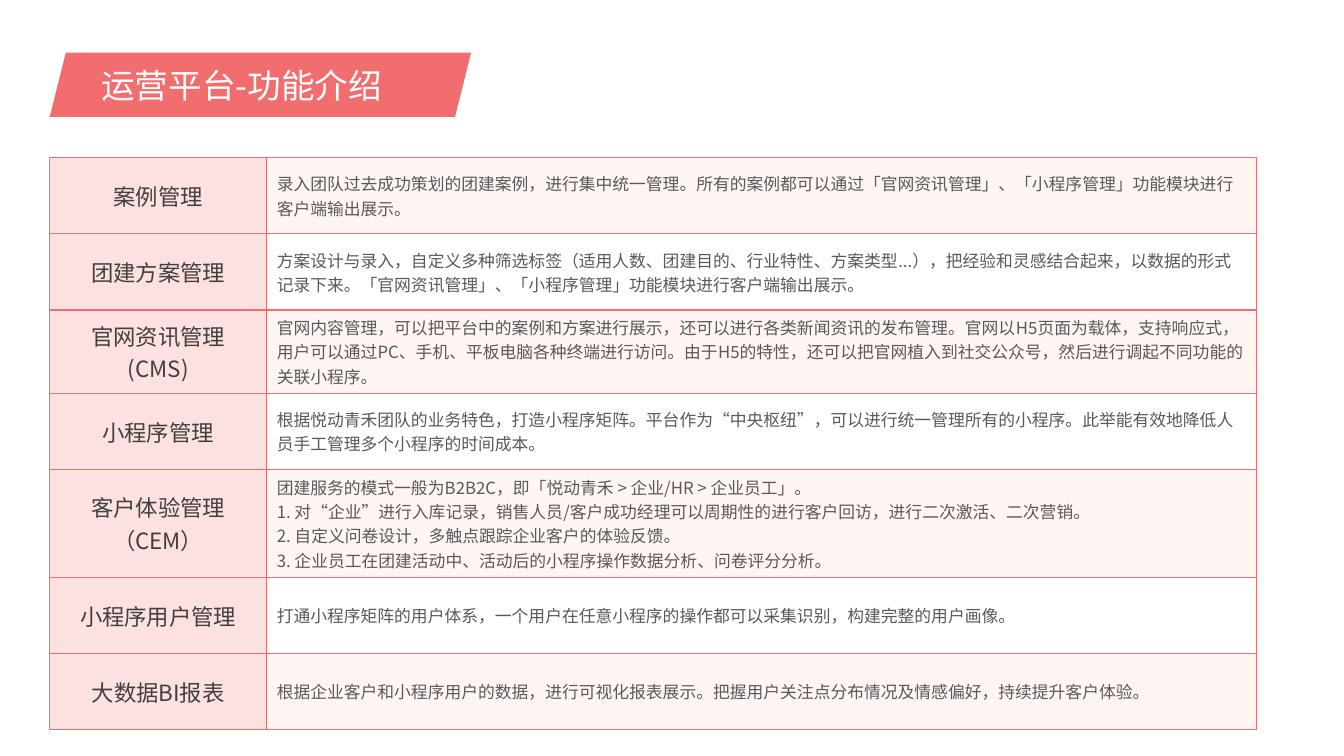
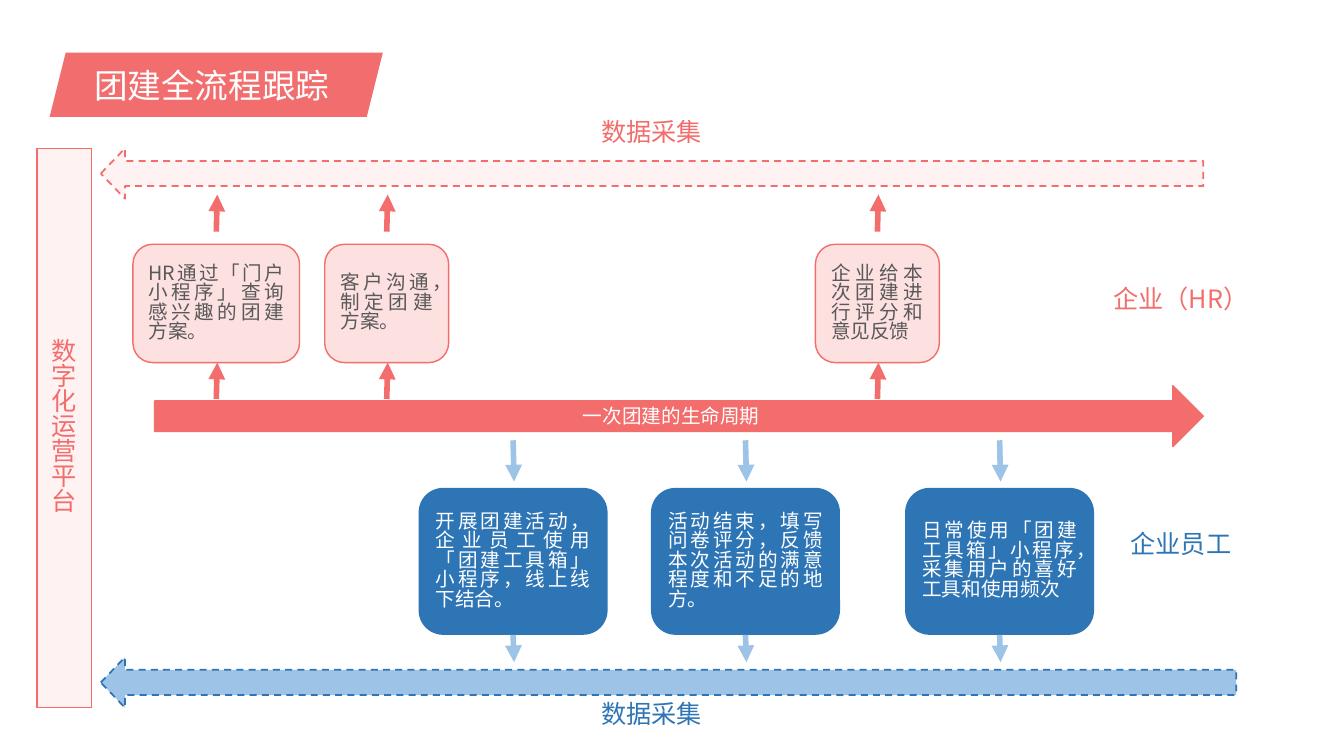
from lxml.etree import SubElement
from pptx import Presentation
from pptx.dml.color import RGBColor
from pptx.enum.dml import MSO_LINE
from pptx.enum.shapes import MSO_CONNECTOR, MSO_SHAPE
from pptx.enum.text import MSO_ANCHOR, PP_ALIGN
from pptx.oxml.ns import qn
from pptx.util import Pt

FONT = "Noto Sans CJK SC"
COLORS = {
    "title": "F15757", "coral": "F26D6C", "pink": "FDE0E0", "blush": "FFF2F2",
    "band": "FFF6F4", "white": "FFFFFF", "blue": "2E75B6", "sky": "9DC3E6",
    "dark": "404040", "grey": "595959",
}
# Paragraph formats for each role of text; tight lines suit the diagram
TIGHT = 0.83
STYLES = {
    "title": (24, {"alignment": PP_ALIGN.LEFT}),
    "row label": (16, {"alignment": PP_ALIGN.CENTER}),
    "row text": (12, {"alignment": PP_ALIGN.LEFT}),
    "heading": (18, {"alignment": PP_ALIGN.CENTER, "line_spacing": TIGHT}),
    "axis": (14, {"alignment": PP_ALIGN.CENTER}),
    "step": (14, {"alignment": PP_ALIGN.JUSTIFY, "line_spacing": TIGHT}),
}


def rgb(name):
    return RGBColor.from_string(COLORS[name])


class SlideBuilder:
    """Holds the deck, its style and the slide being filled."""

    def __init__(self, width, height):
        self.deck = Presentation()
        self.deck.slide_width, self.deck.slide_height = Pt(width), Pt(height)
        self.page = None

    def new_page(self, title, title_width):
        self.page = self.deck.slides.add_slide(self.deck.slide_layouts[6])
        banner = self.shape(MSO_SHAPE.PARALLELOGRAM, (35.5, 37.5, title_width, 46), "title")
        color = banner._element.spPr.find(qn("a:solidFill"))[0]
        SubElement(color, qn("a:alpha")).set("val", "86000")
        self.add_text(banner.text_frame, title, "title", "white")

    def add_text(self, frame, text, style, color):
        size, layout = STYLES[style]
        for index, line in enumerate(text.split("\n")):
            para = frame.add_paragraph() if index else frame.paragraphs[0]
            for name, value in layout.items():
                setattr(para, name, value)
            span = para.add_run()
            span.text = line
            for name, value in {"name": FONT, "size": Pt(size), "bold": False}.items():
                setattr(span.font, name, value)
            span.font.color.rgb = rgb(color)
            SubElement(span._r.get_or_add_rPr(), qn("a:ea")).set("typeface", FONT)

    def shape(self, kind, place, fill, line=None, weight=1, dash=None):
        box = self.page.shapes.add_shape(kind, *map(Pt, place))
        box.shadow.inherit = False
        box.fill.solid()
        box.fill.fore_color.rgb = rgb(fill)
        if line:
            box.line.color.rgb = rgb(line)
            box.line.width = Pt(weight)
            box.line.dash_style = dash
        else:
            box.line.fill.background()
        box.text_frame.word_wrap = True
        box.text_frame.vertical_anchor = MSO_ANCHOR.MIDDLE
        return box

    def caption(self, left, top, text, color):
        box = self.page.shapes.add_textbox(Pt(left), Pt(top), Pt(123), Pt(29))
        box.text_frame.word_wrap = True
        self.add_text(box.text_frame, text, "heading", color)

    def arrow(self, start, end, color):
        link = self.page.shapes.add_connector(MSO_CONNECTOR.STRAIGHT, *map(Pt, start + end))
        link.line.color.rgb = rgb(color)
        link.line.width = Pt(4)
        SubElement(link._element.spPr.find(qn("a:ln")), qn("a:tailEnd")).set("type", "triangle")
        SubElement(link._element.spPr, qn("a:effectLst"))

    def collection_arrow(self, top, width, fill, line):
        box = self.shape(MSO_SHAPE.LEFT_ARROW, (72, top, width, 36), fill, line, 1.25, MSO_LINE.DASH)
        box.adjustments[0], box.adjustments[1] = 0.5, 0.48

    def step(self, place, text, fill, line, text_color):
        box = self.shape(MSO_SHAPE.ROUNDED_RECTANGLE, place, fill, line)
        self.add_text(box.text_frame, text, "step", text_color)

    def cell(self, cell, text, style, color, fill):
        props = cell._tc.get_or_add_tcPr()
        for side in ("lnL", "lnR", "lnT", "lnB"):
            border = SubElement(props, qn("a:" + side), w=str(int(Pt(1))))
            paint = SubElement(border, qn("a:solidFill"))
            SubElement(paint, qn("a:srgbClr")).set("val", COLORS["coral"])
        cell.fill.solid()
        cell.fill.fore_color.rgb = rgb(fill)
        cell.vertical_anchor = MSO_ANCHOR.MIDDLE
        self.add_text(cell.text_frame, text, style, color)

    def feature_table(self, rows, left, top, widths, row_height):
        frame = self.page.shapes.add_table(
            len(rows), len(widths), Pt(left), Pt(top), Pt(sum(widths)), Pt(row_height * len(rows)))
        table = frame.table
        table.first_row = table.horz_banding = False
        for column, width in zip(table.columns, widths):
            column.width = Pt(width)
        for index, (label, text) in enumerate(rows):
            table.rows[index].height = Pt(row_height)
            self.cell(table.cell(index, 0), label, "row label", "dark", "pink")
            self.cell(table.cell(index, 1), text, "row text", "grey", "white" if index % 2 else "band")


FEATURES = [
    ("案例管理", "录入团队过去成功策划的团建案例，进行集中统一管理。所有的案例都可以通过「官网资讯管理」、「小程序管理」功能模块进行客户端输出展示。"),
    ("团建方案管理", "方案设计与录入，自定义多种筛选标签（适用人数、团建目的、行业特性、方案类型...），把经验和灵感结合起来，以数据的形式记录下来。「官网资讯管理」、「小程序管理」功能模块进行客户端输出展示。"),
    ("官网资讯管理\n(CMS)", "官网内容管理，可以把平台中的案例和方案进行展示，还可以进行各类新闻资讯的发布管理。官网以H5页面为载体，支持响应式，用户可以通过PC、手机、平板电脑各种终端进行访问。由于H5的特性，还可以把官网植入到社交公众号，然后进行调起不同功能的关联小程序。"),
    ("小程序管理", "根据悦动青禾团队的业务特色，打造小程序矩阵。平台作为“中央枢纽”，可以进行统一管理所有的小程序。此举能有效地降低人员手工管理多个小程序的时间成本。"),
    ("客户体验管理\n（CEM）", "团建服务的模式一般为B2B2C，即「悦动青禾 > 企业/HR > 企业员工」。\n"
     "1. 对“企业”进行入库记录，销售人员/客户成功经理可以周期性的进行客户回访，进行二次激活、二次营销。\n"
     "2. 自定义问卷设计，多触点跟踪企业客户的体验反馈。\n"
     "3. 企业员工在团建活动中、活动后的小程序操作数据分析、问卷评分分析。"),
    ("小程序用户管理", "打通小程序矩阵的用户体系，一个用户在任意小程序的操作都可以采集识别，构建完整的用户画像。"),
    ("大数据BI报表", "根据企业客户和小程序用户的数据，进行可视化报表展示。把握用户关注点分布情况及情感偏好，持续提升客户体验。"),
]
# Steps as left edge, width and text
COMPANY_STEPS = [
    (95, 119, "HR通过「门户小程序」查询感兴趣的团建方案。"),
    (232, 88.5, "客户沟通，制定团建方案。"),
    (582.5, 88.5, "企业给本次团建进行评分和意见反馈"),
]
STAFF_STEPS = [
    (299, 135, "开展团建活动，企业员工使用「团建工具箱」小程序，线上线下结合。"),
    (465, 135, "活动结束，填写问卷评分，反馈本次活动的满意程度和不足的地方。"),
    (646.5, 135, "日常使用「团建工具箱」小程序，采集用户的喜好工具和使用频次"),
]


def build_features(builder):
    builder.new_page("运营平台-功能介绍", 301)
    builder.feature_table(FEATURES, 35.5, 112.5, (155, 707), 54.5)


def build_process(builder):
    builder.new_page("团建全流程跟踪", 238)

    # Platform, life cycle and data collection
    platform = builder.shape(MSO_SHAPE.RECTANGLE, (26.5, 106, 39, 399.5), "blush", "coral")
    builder.add_text(platform.text_frame, "数字化运营平台", "heading", "coral")
    life_cycle = builder.shape(MSO_SHAPE.RIGHT_ARROW, (110.5, 275.5, 749, 43.5), "coral", "coral")
    builder.add_text(life_cycle.text_frame, "一次团建的生命周期", "axis", "white")
    builder.collection_arrow(106, 787.5, "blush", "coral")
    builder.collection_arrow(469.5, 811, "sky", "blue")

    # Steps, each with an arrow in and an arrow out
    lanes = [
        (COMPANY_STEPS, 174.5, 84.5, ("pink", "coral", "grey"), "coral", [(285, 259), (165.5, 139)]),
        (STAFF_STEPS, 348.5, 105, ("blue", None, "white"), "sky", [(314.5, 344), (453.5, 473)]),
    ]
    for steps, top, height, box_colors, arrow_color, spans in lanes:
        for left, width, text in steps:
            builder.step((left, top, width, height), text, *box_colors)
            center = left + width / 2
            for start, end in spans:
                builder.arrow((center, start), (center + 0.7, end), arrow_color)

    # Captions
    for left, top, text, color in [
        (404, 83.5, "数据采集", "coral"), (404, 499, "数据采集", "blue"),
        (782, 202.5, "企业（HR）", "coral"), (782, 377.5, "企业员工", "blue"),
    ]:
        builder.caption(left, top, text, color)


def main():
    builder = SlideBuilder(960, 540)
    build_features(builder)
    build_process(builder)
    builder.deck.save("out.pptx")


if __name__ == "__main__":
    main()
